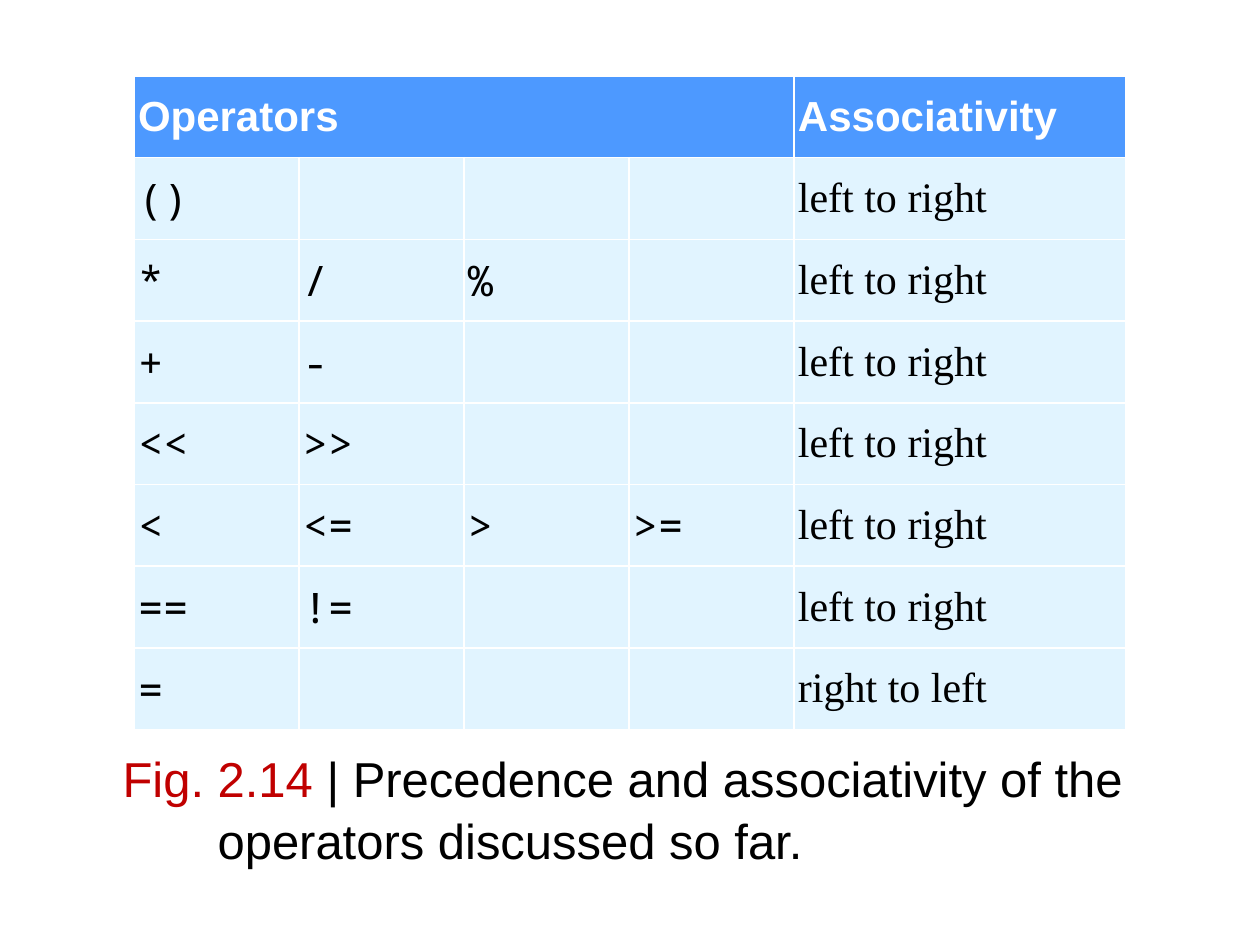
from dataclasses import dataclass

from pptx import Presentation
from pptx.dml.color import RGBColor as RGB
from pptx.enum.text import MSO_ANCHOR as ANCHOR, MSO_AUTO_SIZE as AUTO_SIZE, PP_ALIGN as ALIGN
from pptx.util import Pt

HEADER = ("Operators", "Associativity")
PRECEDENCE = [
    (["()"], "left to right"),
    (["*", "/", "%"], "left to right"),
    (["+", "-"], "left to right"),
    (["<<", ">>"], "left to right"),
    (["<", "<=", ">", ">="], "left to right"),
    (["==", "!="], "left to right"),
    (["="], "right to left"),
]
CAPTION_LABEL = "Fig. 2.14 "
CAPTION_TEXT = "| Precedence and associativity of the operators discussed so far."

PX = 914400 / 126
SLIDE = (1260, 945)
TABLE_BOX = (134, 76, 992, 654)
CAPTION_BOX = (110, 746, 1042, 123)
OPERATOR_COLS = 4
OPERATOR_W = 165
CELL_INDENT = 4
CAPTION_HANG = 95


@dataclass(frozen=True)
class Theme:
    header_fill: RGB = RGB(0x4D, 0x99, 0xFF)
    body_fill: RGB = RGB(0xE1, 0xF4, 0xFF)
    header_text: RGB = RGB(0xFF, 0xFF, 0xFF)
    text: RGB = RGB(0, 0, 0)
    label: RGB = RGB(0xC0, 0, 0)
    sans: str = "Arial"
    mono: str = "Noto Sans Mono"
    serif: str = "Times New Roman"
    table_size: int = 24
    caption_size: int = 28


THEME = Theme()


def px(n):
    return round(n * PX)


def set_indent(p, left, first=0):
    pPr = p._p.get_or_add_pPr()
    pPr.set("marL", str(px(left)))
    pPr.set("indent", str(px(first)))


def add_run(p, text, font, size, color, bold=False):
    r = p.add_run()
    r.text = text
    r.font.name, r.font.size, r.font.bold = font, Pt(size), bold
    r.font.color.rgb = color


def write_cell(cell, text, font, color, bold=False):
    p = cell.text_frame.paragraphs[0]
    set_indent(p, CELL_INDENT)
    p.space_after = Pt(3)
    add_run(p, text, font, THEME.table_size, color, bold)


def add_precedence_table(slide):
    n_rows, n_cols = len(PRECEDENCE) + 1, OPERATOR_COLS + 1
    table = slide.shapes.add_table(n_rows, n_cols, *map(px, TABLE_BOX)).table
    for col in table.columns:
        col.width = px(OPERATOR_W)
    table.columns[OPERATOR_COLS].width = px(TABLE_BOX[2] - OPERATOR_COLS * OPERATOR_W)
    for i, row in enumerate(table.rows):
        row.height = px(TABLE_BOX[3] / n_rows)
        for cell in row.cells:
            cell.margin_left = cell.margin_right = cell.margin_top = cell.margin_bottom = 0
            cell.vertical_anchor = ANCHOR.MIDDLE
            cell.fill.solid()
            cell.fill.fore_color.rgb = THEME.body_fill if i else THEME.header_fill

    table.cell(0, 0).merge(table.cell(0, OPERATOR_COLS - 1))
    for c, text in zip((0, OPERATOR_COLS), HEADER):
        write_cell(table.cell(0, c), text, THEME.sans, THEME.header_text, bold=True)
    for i, (operators, direction) in enumerate(PRECEDENCE, 1):
        for c, operator in enumerate(operators):
            write_cell(table.cell(i, c), operator, THEME.mono, THEME.text)
        write_cell(table.cell(i, OPERATOR_COLS), direction, THEME.serif, THEME.text)


def write_caption(sp):
    sp.left, sp.top, sp.width, sp.height = map(px, CAPTION_BOX)
    tf = sp.text_frame
    tf.word_wrap = True
    tf.auto_size = AUTO_SIZE.NONE
    tf.vertical_anchor = ANCHOR.MIDDLE
    p = tf.paragraphs[0]
    set_indent(p, CAPTION_HANG, -CAPTION_HANG)
    p.alignment = ALIGN.LEFT
    p.space_before = Pt(0)
    p.line_spacing = 1.05
    add_run(p, CAPTION_LABEL, THEME.sans, THEME.caption_size, THEME.label)
    add_run(p, CAPTION_TEXT, THEME.sans, THEME.caption_size, THEME.text)


def main():
    prs = Presentation()
    prs.slide_width, prs.slide_height = map(px, SLIDE)
    slide = prs.slides.add_slide(prs.slide_layouts.get_by_name("Section Header"))
    title = slide.shapes.title._element
    title.getparent().remove(title)
    add_precedence_table(slide)
    write_caption(slide.placeholders[1])
    prs.save("out.pptx")


if __name__ == "__main__":
    main()
